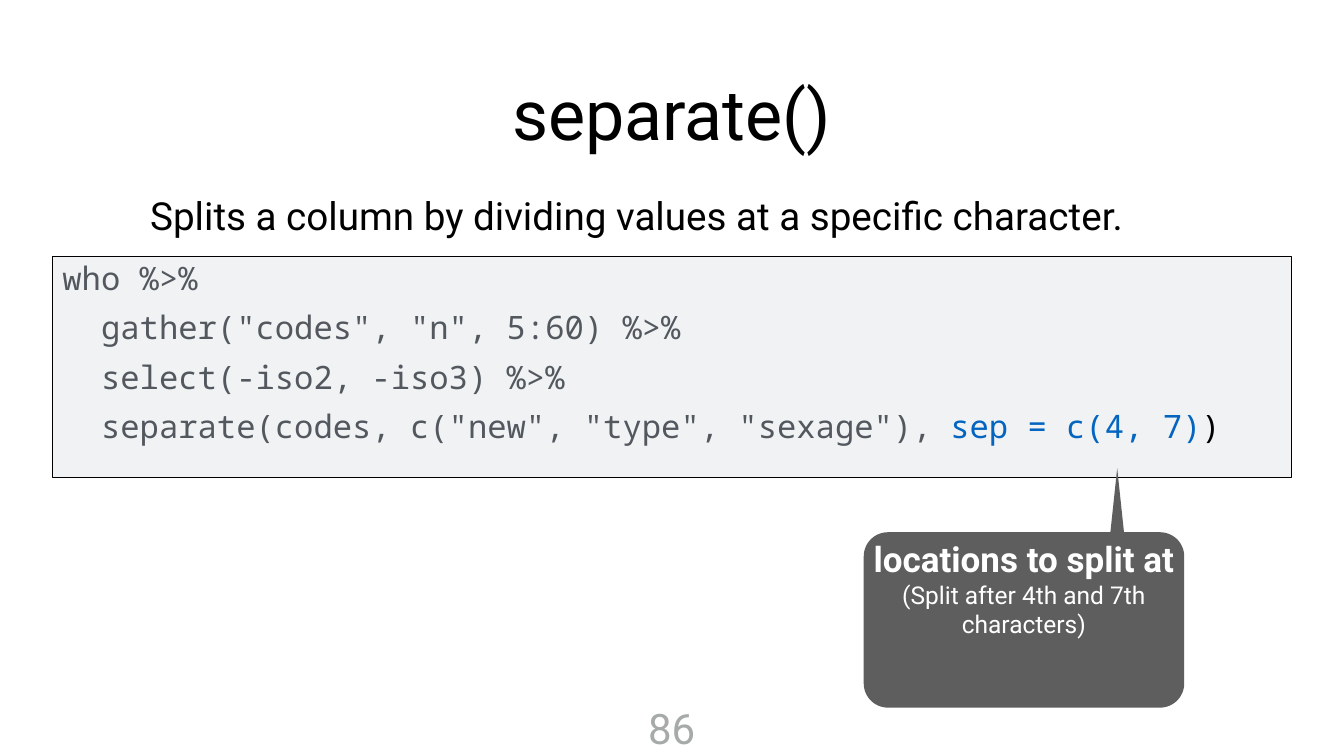
"""Build the slide that explains the sep argument of separate()."""
import math

from pptx import Presentation
from pptx.dml.color import RGBColor
from pptx.enum.shapes import MSO_SHAPE
from pptx.enum.text import MSO_ANCHOR, PP_ALIGN
from pptx.util import Inches, Pt

CENTER, LEFT = PP_ALIGN.CENTER, PP_ALIGN.LEFT
MIDDLE, TOP = MSO_ANCHOR.MIDDLE, MSO_ANCHOR.TOP
RECTANGLE = MSO_SHAPE.RECTANGLE
COLORS = {
    "black": "000000", "white": "FFFFFF", "panel": "F0F2F4", "code": "53585F",
    "accent": "0365C0", "callout": "5E5E5E", "number": "A6AAA9",
}
TEXT_FONT, CODE_FONT = "Roboto", "Noto Sans Mono"


def rgb(name):
    return RGBColor.from_string(COLORS[name])


def write(shape, lines, anchor, align, inset, font, wrap=True):
    frame = shape.text_frame
    frame.word_wrap = wrap
    frame.vertical_anchor = anchor
    frame.margin_left = frame.margin_right = Inches(inset)
    frame.margin_top = frame.margin_bottom = Inches(inset)
    for index, (text, size, color, bold) in enumerate(lines):
        para = frame.add_paragraph() if index else frame.paragraphs[0]
        para.alignment = align
        para.font.name, para.font.size, para.font.bold = font, Pt(size), bold
        if isinstance(text, str):
            para.font.color.rgb = rgb(color)
            para.add_run().text = text
            continue
        for part, part_color in text:
            span = para.add_run()
            span.text = part
            span.font.color.rgb = rgb(part_color)
    return frame


deck = Presentation()
deck.slide_width, deck.slide_height = Inches(26.67), Inches(15)
page = deck.slides.add_slide(deck.slide_layouts[5])
shapes = page.shapes

title = shapes.title
title.left, title.top = Inches(4.38), Inches(0.92)
title.width, title.height = Inches(17.9), Inches(2.62)
write(title, [("separate()", 100, "black", False)], MIDDLE, CENTER, 0.06, TEXT_FONT)

summary = shapes.add_textbox(Inches(2.92), Inches(3.48), Inches(19.6), Inches(1.56))
summary_text = "Splits a column by dividing values at a specific character."
write(summary, [(summary_text, 55.2, "black", False)], MIDDLE, LEFT, 0.06, TEXT_FONT)

panel = shapes.add_shape(RECTANGLE, Inches(1.04), Inches(5.08), Inches(24.58), Inches(4.39))
panel.shadow.inherit = False
panel.fill.solid()
panel.fill.fore_color.rgb = rgb("panel")
panel.line.color.rgb = rgb("black")
panel.line.width = Pt(1)

code = shapes.add_textbox(Inches(1.18), Inches(5.07), Inches(24.44), Inches(4.2))
separate_call = [
    ('  separate(codes, c("new", "type", "sexage"), ', "code"),
    ("sep = c(4, 7)", "accent"),
    (")", "black"),
]
code_lines = ["who %>%", '  gather("codes", "n", 5:60) %>%', "  select(-iso2, -iso3) %>%", separate_call]
code_frame = write(code, [(line, 46, "code", False) for line in code_lines], TOP, LEFT, 0.06, CODE_FONT)
for para in code_frame.paragraphs[1:]:
    para.space_before = Pt(15)

left, top, right, bottom, radius = 17.14, 10.56, 23.5, 14.04, 0.48
tip_x, tip_y, tail_half = 22.17, 9.29, 0.135
corners = [
    (left + radius, top + radius, 270),
    (left + radius, bottom - radius, 180),
    (right - radius, bottom - radius, 90),
    (right - radius, top + radius, 0),
]
outline = [(tip_x - tail_half, top)]
for center_x, center_y, start in corners:
    for step in range(90, -1, -6):
        angle = math.radians(start + step)
        outline.append((center_x + radius * math.sin(angle), center_y - radius * math.cos(angle)))
outline.append((tip_x + tail_half, top))
builder = shapes.build_freeform(Inches(tip_x), Inches(tip_y))
builder.add_line_segments([(Inches(x), Inches(y)) for x, y in outline], close=True)
callout = builder.convert_to_shape()
callout.shadow.inherit = False
callout.fill.solid()
callout.fill.fore_color.rgb = rgb("callout")
callout.line.fill.background()
callout_lines = [
    ("locations to split at", 50, "white", True),
    ("(Split after 4th and 7th characters)", 35, "white", False),
]
write(callout, callout_lines, MIDDLE, CENTER, 0.08, TEXT_FONT)

number = shapes.add_textbox(Inches(12.78), Inches(13.85), Inches(1.1), Inches(1.16))
write(number, [("86", 60, "number", False)], TOP, CENTER, 0.08, TEXT_FONT, wrap=False)

deck.save("out.pptx")
